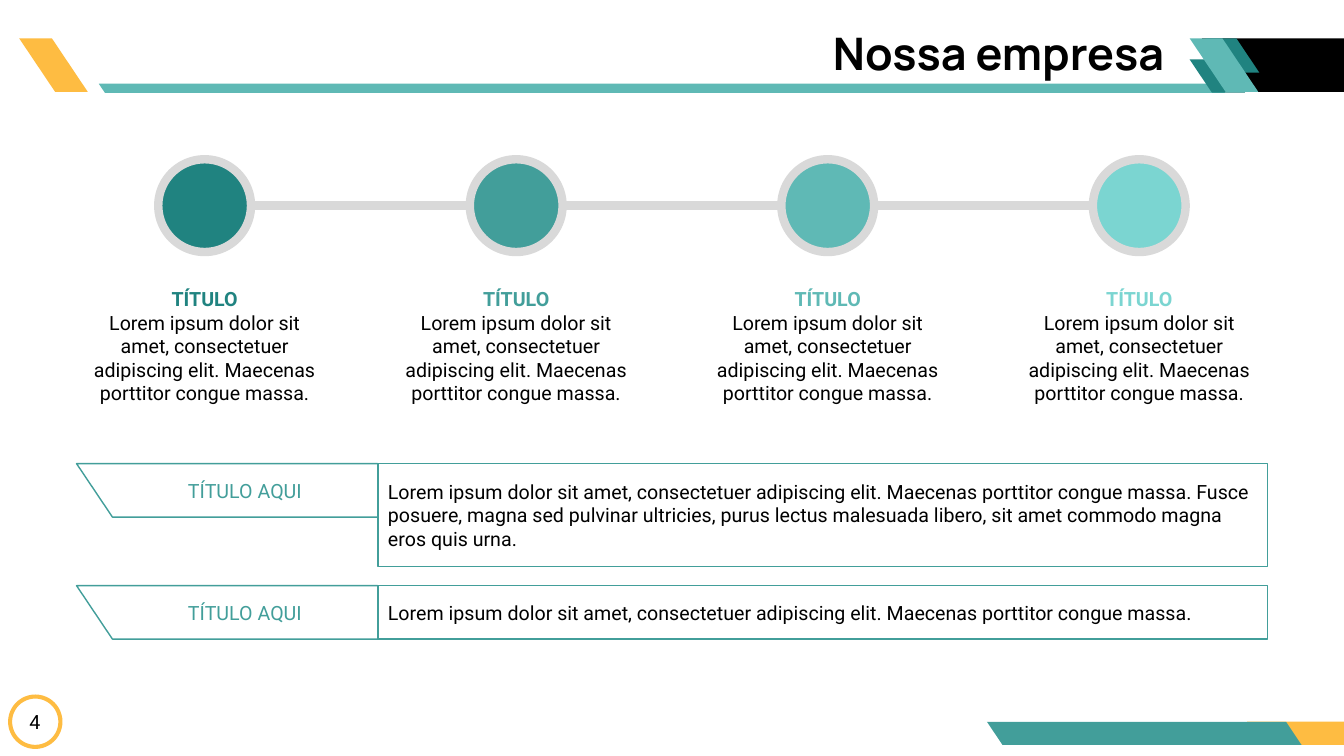
from lxml import etree
from pptx import Presentation
from pptx.dml.color import RGBColor
from pptx.enum.shapes import MSO_CONNECTOR, MSO_SHAPE
from pptx.enum.text import MSO_ANCHOR, PP_ALIGN
from pptx.oxml.ns import qn
from pptx.util import Inches, Pt

SLIDE_W, SLIDE_H = Inches(13.33), Inches(7.5)
PARALLELOGRAM, WEDGE = MSO_SHAPE.PARALLELOGRAM, MSO_SHAPE.FLOWCHART_MANUAL_INPUT
RECTANGLE, OVAL, DONUT = MSO_SHAPE.RECTANGLE, MSO_SHAPE.OVAL, MSO_SHAPE.DONUT
STRAIGHT = MSO_CONNECTOR.STRAIGHT
LEFT, CENTER, RIGHT = PP_ALIGN.LEFT, PP_ALIGN.CENTER, PP_ALIGN.RIGHT
TOP, MIDDLE = MSO_ANCHOR.TOP, MSO_ANCHOR.MIDDLE

COLORS = {
    "black": "000000", "white": "FFFFFF", "gray": "D9D9D9", "amber": "FEBC42",
    "deep": "208380", "teal": "429E9A", "soft": "5FB9B5", "pale": "7BD5D1",
}
SLANT = 0.671
HEADER_TOP, BAND_H = 5.07, 7.07
FOOTER_TOP, FOOTER_H = 95.47, 3.07

STEP_COLORS = ["deep", "teal", "soft", "pale"]
FIRST_STEP_X, STEP_PITCH = 15.23, 23.18
STEP_Y, STEP_W, STEP_H = 27.2, 6.9, 12.27
STEP_TEXT_W, STEP_TEXT_TOP, STEP_TEXT_H = 18.3, 37.33, 17.07

LOREM = ("Lorem ipsum dolor sit amet, consectetuer adipiscing elit. "
         "Maecenas porttitor congue massa.")
LONG_LOREM = (LOREM + " Fusce posuere, magna sed pulvinar ultricies, purus lectus "
              "malesuada libero, sit amet commodo magna eros quis urna.")
TOPICS = [(61.33, 13.6, LONG_LOREM), (77.47, BAND_H, LOREM)]


def rgb(color):
    return RGBColor.from_string(COLORS[color])


def place(left, top, width, height):
    """Turn percentages of the slide's sides into lengths."""
    return (round(left * SLIDE_W / 100), round(top * SLIDE_H / 100),
            round(width * SLIDE_W / 100), round(height * SLIDE_H / 100))


def add_figure(slide, preset, area, fill, line=None, line_width=1):
    figure = slide.shapes.add_shape(preset, *place(*area))
    figure.shadow.inherit = False
    figure.fill.solid()
    figure.fill.fore_color.rgb = rgb(fill)
    if line:
        figure.line.color.rgb = rgb(line)
        figure.line.width = Pt(line_width)
    else:
        figure.line.fill.background()
    return figure


def add_slanted(slide, area, fill, line=None):
    """Parallelogram leaning to the left."""
    band = add_figure(slide, PARALLELOGRAM, area, fill, line)
    band.adjustments[0] = SLANT
    band.element.spPr.xfrm.set("flipH", "1")
    return band


def add_wedge(slide, area, fill):
    """Band with a slanted left end, running to the slide's right side."""
    wedge = add_figure(slide, WEDGE, area, fill)
    center_x, center_y = wedge.left + wedge.width // 2, wedge.top + wedge.height // 2
    wedge.width, wedge.height = wedge.height, wedge.width
    wedge.left, wedge.top = center_x - wedge.width // 2, center_y - wedge.height // 2
    wedge.rotation = 90
    for flip in ("flipH", "flipV"):
        wedge.element.spPr.xfrm.set(flip, "1")


def write(shape, lines, align=CENTER, anchor=MIDDLE, font="Roboto", size=14, wrap=True):
    """Fill a shape with lines of (text, color, bold)."""
    frame = shape.text_frame
    frame.word_wrap = wrap
    frame.vertical_anchor = anchor
    for index, (text, color, bold) in enumerate(lines):
        paragraph = frame.add_paragraph() if index else frame.paragraphs[0]
        paragraph.alignment = align
        run = paragraph.add_run()
        run.text = text
        run.font.name, run.font.size, run.font.bold = font, Pt(size), bold
        run.font.color.rgb = rgb(color)
    return frame


def add_text(slide, area, lines, **style):
    return write(slide.shapes.add_textbox(*place(*area)), lines, **style)


def add_header(slide):
    title = add_text(slide, (12, 3.87, 75.39, BAND_H), [("Nossa empresa", "black", True)],
                     align=RIGHT, font="Manrope", size=32)
    title.paragraphs[0].line_spacing = 0.9
    add_wedge(slide, (89.42, HEADER_TOP, 10.58, BAND_H), "black")
    for area, color in [
        ((7.35, 11.07, 83.8, 1.2), "soft"),
        ((1.43, HEADER_TOP, 5.1, BAND_H), "amber"),
        ((88.52, 7.87, 4.13, 4.4), "deep"),
        ((89.72, HEADER_TOP, 3.98, 4.53), "deep"),
        ((88.52, HEADER_TOP, 5.1, BAND_H), "soft"),
    ]:
        add_slanted(slide, area, color)


def add_footer(slide):
    add_wedge(slide, (92.8, FOOTER_TOP, 7.2, FOOTER_H), "amber")
    add_slanted(slide, (73.44, FOOTER_TOP, 23.41, FOOTER_H), "teal")
    ring = add_figure(slide, DONUT, (0.6, 91.87, 4.05, 7.2), "amber")
    ring.adjustments[0] = 0.075
    add_text(slide, (1.43, 93.2, 2.33, 4.53), [("4", "black", False)], wrap=False)


def add_timeline(slide):
    last_step_x = FIRST_STEP_X + STEP_PITCH * (len(STEP_COLORS) - 1)
    start, y, length, _ = place(FIRST_STEP_X + STEP_W / 2, STEP_Y,
                                last_step_x - FIRST_STEP_X - STEP_W, 0)
    axis = slide.shapes.add_connector(STRAIGHT, start, y, start + length, y)
    axis.line.color.rgb = rgb("gray")
    axis.line.width = Pt(6)
    etree.SubElement(axis.element.spPr, qn("a:effectLst"))
    for index, color in enumerate(STEP_COLORS):
        x = FIRST_STEP_X + STEP_PITCH * index
        add_figure(slide, OVAL, (x - STEP_W / 2, STEP_Y - STEP_H / 2, STEP_W, STEP_H),
                   color, "gray", 6)
        add_text(slide, (x - STEP_TEXT_W / 2, STEP_TEXT_TOP, STEP_TEXT_W, STEP_TEXT_H),
                 [("TÍTULO", color, True), (LOREM, "black", False)], anchor=TOP)


def add_topic(slide, top, height, text):
    label = add_slanted(slide, (5.7, top, 25.06, BAND_H), "white", "teal")
    write(label, [("TÍTULO AQUI", "teal", False)])
    body = add_figure(slide, RECTANGLE, (28.13, top, 66.17, height), "white", "teal")
    write(body, [(text, "black", False)], align=LEFT)


def main():
    deck = Presentation()
    deck.slide_width, deck.slide_height = SLIDE_W, SLIDE_H
    slide = deck.slides.add_slide(deck.slide_layouts[6])
    add_footer(slide)
    add_timeline(slide)
    for topic in TOPICS:
        add_topic(slide, *topic)
    add_header(slide)
    deck.save("out.pptx")


if __name__ == "__main__":
    main()
